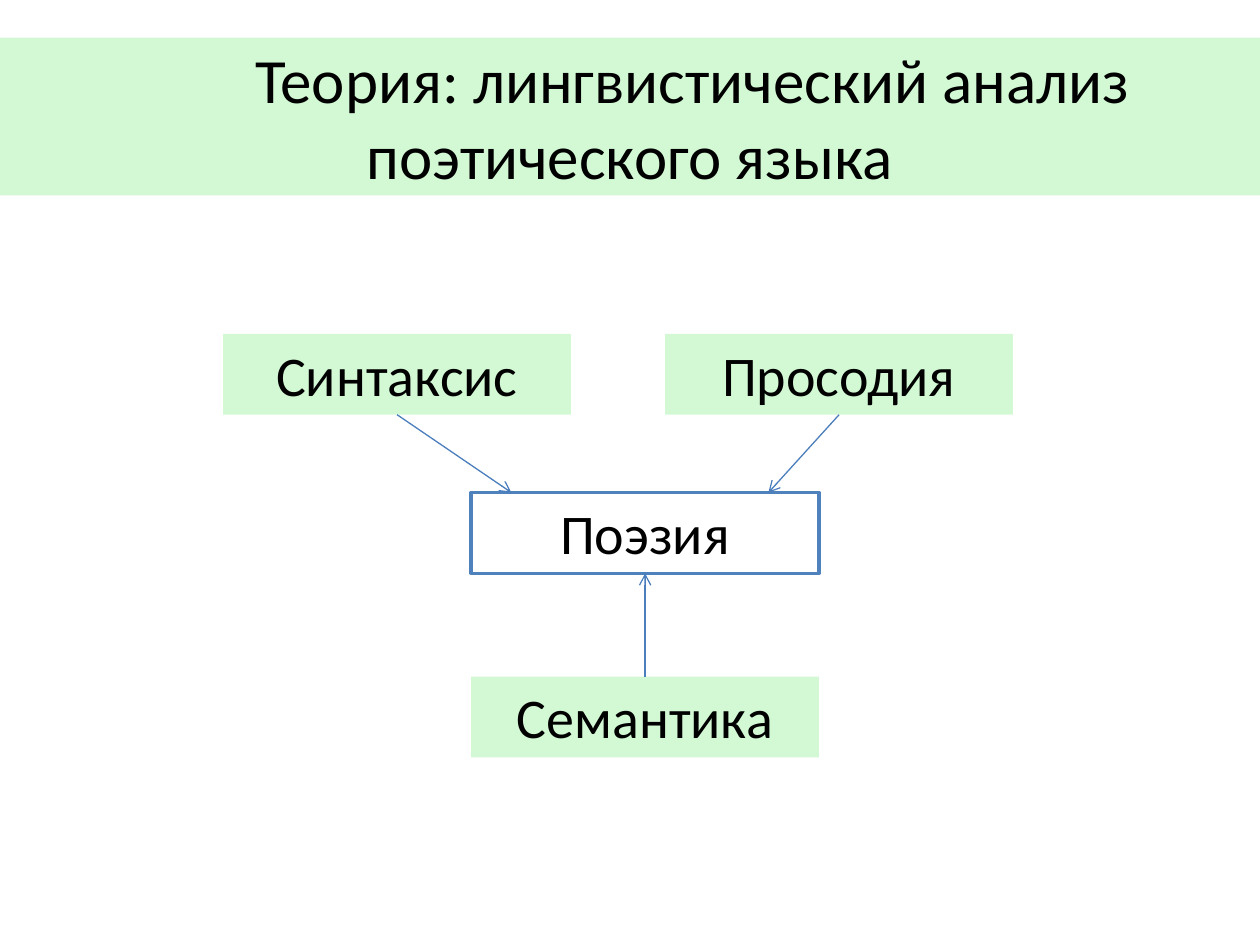
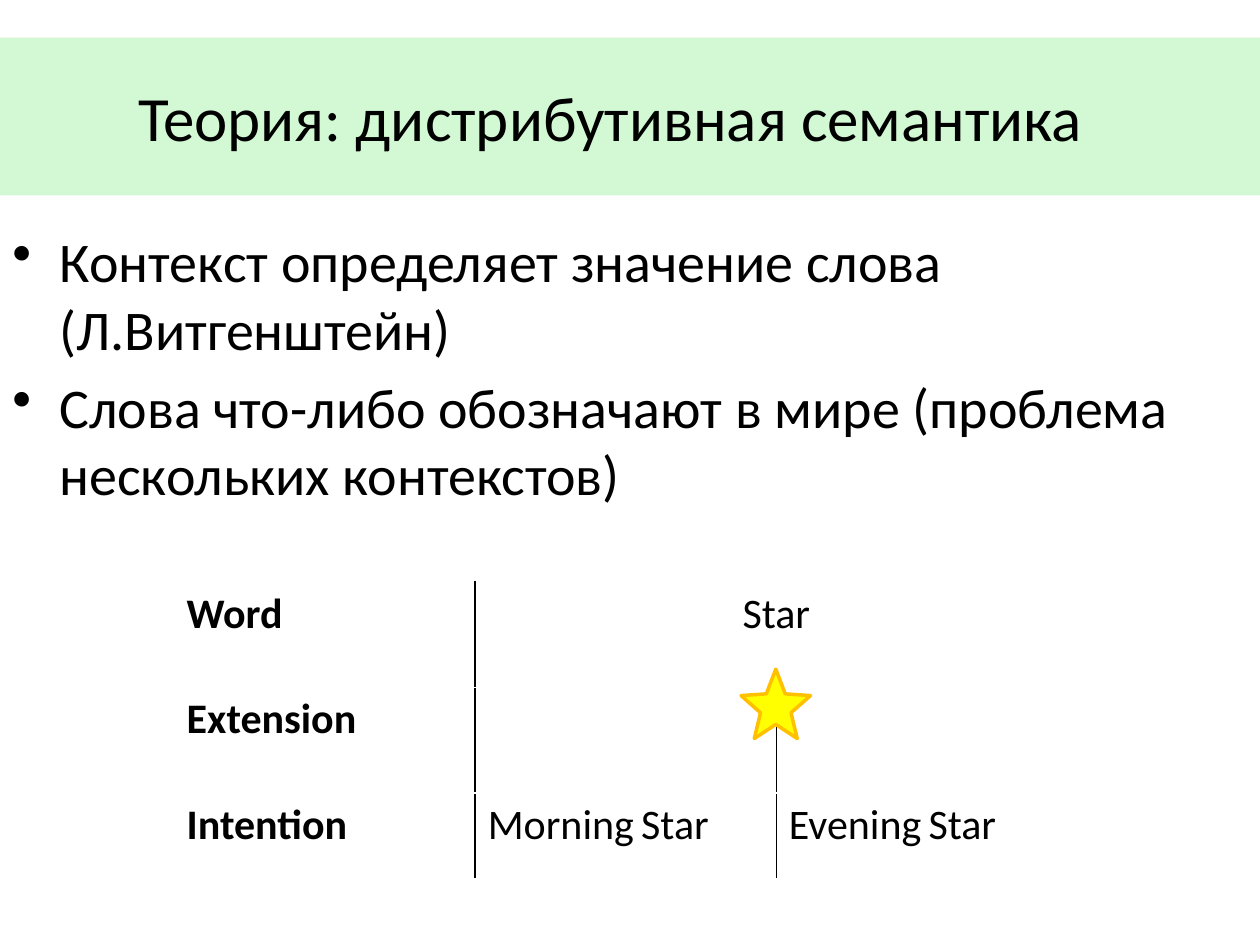
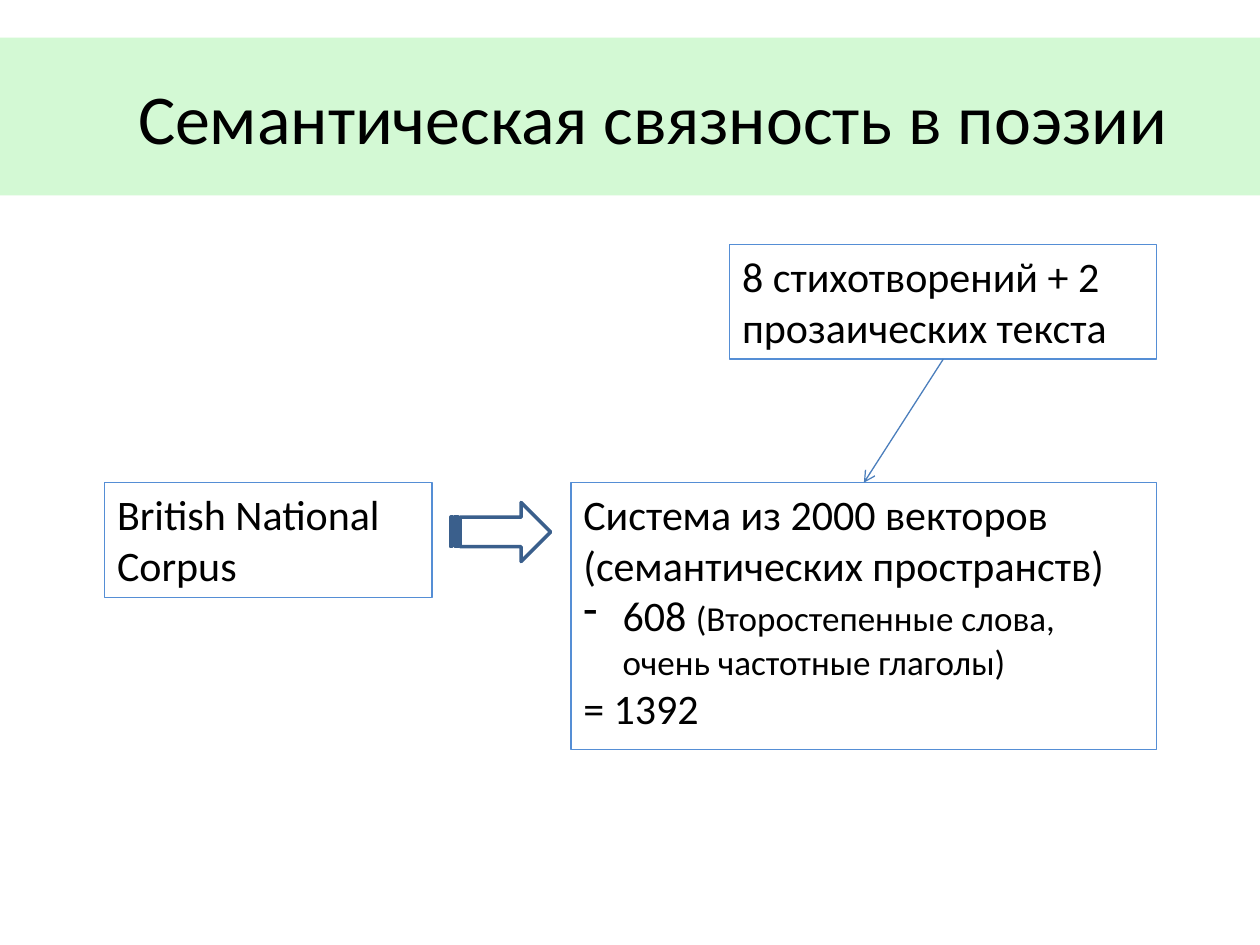
import pptx
import pptx.dml.color
import pptx.enum.shapes
import pptx.enum.text
import pptx.oxml
import pptx.oxml.ns
import pptx.util
from lxml import etree

Cm = pptx.util.Cm
Pt = pptx.util.Pt
RGBColor = pptx.dml.color.RGBColor
MSO_SHAPE = pptx.enum.shapes.MSO_SHAPE
PP_ALIGN = pptx.enum.text.PP_ALIGN
MSO_ANCHOR = pptx.enum.text.MSO_ANCHOR
qn = pptx.oxml.ns.qn

# Shared look
FONT = "Calibri"
BLACK = RGBColor(0x00, 0x00, 0x00)
WHITE = RGBColor(0xFF, 0xFF, 0xFF)
MINT = RGBColor(0xD3, 0xF9, 0xD4)
BLUE = RGBColor(0x4F, 0x81, 0xBD)
ARROW_BLUE = RGBColor(0x4B, 0x7E, 0xBC)
FRAME_BLUE = RGBColor(0x55, 0x8E, 0xD5)
DARK_BLUE = RGBColor(0x3A, 0x5F, 0x8C)
YELLOW = RGBColor(0xFF, 0xFF, 0x00)
GOLD = RGBColor(0xFF, 0xC0, 0x00)
SLIDE_WIDTH, SLIDE_HEIGHT = Cm(25.4), Cm(19.05)

TERM_WIDTH, TERM_HEIGHT = Cm(7.01), Cm(1.63)
COLUMN_WIDTH = Cm(6.07)
ROW_HEIGHTS = (Cm(2.13), Cm(2.13), Cm(1.73))


def style_paragraph(paragraph, size, align=PP_ALIGN.LEFT, bold=False):
    paragraph.alignment = align
    paragraph.font.name = FONT
    paragraph.font.size = Pt(size)
    paragraph.font.bold = bold
    paragraph.font.color.rgb = BLACK


def add_runs(paragraph, runs):
    """Fill a paragraph with (text, size) runs."""
    for text, size in runs:
        run = paragraph.add_run()
        run.text = text
        run.font.size = Pt(size)


def set_indent(paragraph, left, first_line):
    properties = paragraph._p.get_or_add_pPr()
    properties.set("marL", str(left))
    properties.set("indent", str(first_line))


def add_bullet(paragraph, character, indent):
    set_indent(paragraph, indent, -indent)
    properties = paragraph._p.get_or_add_pPr()
    bullet = pptx.oxml.parse_xml(
        f'<a:buChar {pptx.oxml.ns.nsdecls("a")} char="{character}"/>')
    properties.insert_element_before(bullet, "a:tabLst", "a:defRPr", "a:extLst")


def paint(shape, fill=None, line=None, line_width=0.75):
    if fill is None:
        shape.fill.background()
    else:
        shape.fill.solid()
        shape.fill.fore_color.rgb = fill
    if line is None:
        shape.line.fill.background()
    else:
        shape.line.color.rgb = line
        shape.line.width = Pt(line_width)


def add_preset(slide, kind, left, top, width, height, **paint_options):
    shape = slide.shapes.add_shape(kind, left, top, width, height)
    shape.shadow.inherit = False
    paint(shape, **paint_options)
    return shape


def add_title(slide, text, size=36, align=PP_ALIGN.LEFT):
    band = add_preset(slide, MSO_SHAPE.RECTANGLE, 0, Cm(0.76), SLIDE_WIDTH, Cm(3.18), fill=MINT)
    frame = band.text_frame
    frame.word_wrap = True
    frame.vertical_anchor = MSO_ANCHOR.MIDDLE
    paragraph = frame.paragraphs[0]
    paragraph.text = text
    style_paragraph(paragraph, size, align)
    set_indent(paragraph, 0, Cm(2.54))


def add_text(slide, left, top, width, height, lines, size, align=PP_ALIGN.LEFT):
    box = slide.shapes.add_textbox(left, top, width, height)
    box.text_frame.word_wrap = True
    for index, line in enumerate(lines):
        paragraph = box.text_frame.paragraphs[0] if index == 0 else box.text_frame.add_paragraph()
        if isinstance(line, str):
            paragraph.text = line
        else:
            add_runs(paragraph, line)
        style_paragraph(paragraph, size, align)
    return box


def add_term(slide, text, left, top, fill=MINT, line=None):
    box = add_text(slide, left, top, TERM_WIDTH, TERM_HEIGHT, [text], 32, PP_ALIGN.CENTER)
    paint(box, fill, line, 2)
    return box


def add_framed_text(slide, left, top, width, height, lines):
    box = add_text(slide, left, top, width, height, lines, 24)
    paint(box, line=FRAME_BLUE)
    return box


def add_arrow(slide, source, source_side, end=(0, 0), target=None, target_side=0):
    """Draw an arrow from a box side to a point, or to a side of a target box."""
    arrow = slide.shapes.add_connector(pptx.enum.shapes.MSO_CONNECTOR.STRAIGHT, 0, 0, *end)
    arrow.begin_connect(source, source_side)
    if target is not None:
        arrow.end_connect(target, target_side)
    arrow.line.color.rgb = ARROW_BLUE
    arrow.line.width = Pt(0.75)
    etree.SubElement(arrow.line._get_or_add_ln(), qn("a:tailEnd"), type="arrow")
    etree.SubElement(arrow._element.spPr, qn("a:effectLst"))


def set_cell_borders(cell, sides):
    for index, side in enumerate(sides):
        border = pptx.oxml.parse_xml(
            f'<a:ln{side} {pptx.oxml.ns.nsdecls("a")} w="{Pt(1)}">'
            f'<a:solidFill><a:srgbClr val="{BLACK}"/></a:solidFill></a:ln{side}>')
        cell._tc.get_or_add_tcPr().insert(index, border)


def add_meaning_table(slide):
    rows = [
        ("Word", [("Star", 24)], []),
        ("Extension", [], []),
        ("Intention",
         [("Morning", 24), (" ", 18), ("Star", 24)],
         [("Evening", 24), (" ", 18), ("Star", 24)]),
    ]
    table = slide.shapes.add_table(len(rows), 3, Cm(3.51), Cm(11.73),
                                   COLUMN_WIDTH * 3, sum(ROW_HEIGHTS)).table
    table.first_row = table.horz_banding = False
    for column in table.columns:
        column.width = COLUMN_WIDTH
    for row_index, (label, *meanings) in enumerate(rows):
        table.rows[row_index].height = ROW_HEIGHTS[row_index]
        for column_index, runs in enumerate([[(label, 24)], *meanings]):
            cell = table.cell(row_index, column_index)
            cell.fill.background()
            paragraph = cell.text_frame.paragraphs[0]
            add_runs(paragraph, runs)
            style_paragraph(paragraph, 24, bold=column_index == 0)
        # The first row has no divider between the two meanings
        set_cell_borders(table.cell(row_index, 0), "R")
        set_cell_borders(table.cell(row_index, 1), "LR" if row_index else "L")
        if row_index:
            set_cell_borders(table.cell(row_index, 2), "L")
    word = table.cell(0, 1)
    word.merge(table.cell(0, 2))
    word.text_frame.paragraphs[0].alignment = PP_ALIGN.CENTER


def build_theory_slide(slide):
    add_title(slide, "Теория: лингвистический анализ поэтического языка", align=PP_ALIGN.CENTER)
    poetry_left, poetry_top, upper_top = Cm(9.5), Cm(9.93), Cm(6.73)
    poetry = add_term(slide, "Поэзия", poetry_left, poetry_top, WHITE, BLUE)
    prosody = add_term(slide, "Просодия", Cm(13.41), upper_top)
    syntax = add_term(slide, "Синтаксис", Cm(4.5), upper_top)
    semantics = add_term(slide, "Семантика", poetry_left, Cm(13.64))
    add_arrow(slide, syntax, 2, end=(Cm(10.31), poetry_top))
    add_arrow(slide, prosody, 2, end=(Cm(15.49), poetry_top))
    add_arrow(slide, semantics, 0, target=poetry, target_side=2)


def build_distribution_slide(slide):
    body = add_text(slide, 0, Cm(4.45), SLIDE_WIDTH, Cm(12.57), [
        "Контекст определяет значение слова (Л.Витгенштейн)",
        "Слова что-либо обозначают в мире (проблема нескольких контекстов)",
    ], 32)
    for paragraph in body.text_frame.paragraphs:
        paragraph.space_after = Pt(6.4)
        add_bullet(paragraph, "•", Cm(0.95))
    add_title(slide, "Теория: дистрибутивная семантика")
    add_meaning_table(slide)
    star = add_preset(slide, MSO_SHAPE.STAR_5_POINT, Cm(14.94), Cm(13.49), Cm(1.4), Cm(1.4),
                      fill=YELLOW, line=GOLD, line_width=2)
    star.adjustments[0] = 0.22


def build_coherence_slide(slide):
    add_title(slide, "Семантическая связность в поэзии", 40)
    row_top, short_height = Cm(9.73), Cm(2.31)
    add_framed_text(slide, Cm(2.11), row_top, Cm(6.6), short_height, ["British National Corpus"])
    vectors = add_framed_text(slide, Cm(11.51), row_top, Cm(11.81), Cm(5.38), [
        "Система из 2000 векторов",
        "(семантических пространств)",
        [("608 ", 24), ("(Второстепенные слова, очень частотные глаголы)", 20)],
        "= 1392",
    ])
    add_bullet(vectors.text_frame.paragraphs[2], "-", Cm(0.79))
    texts = add_framed_text(slide, Cm(14.71), Cm(4.93), Cm(8.61), short_height,
                            ["8 стихотворений + 2 прозаических текста"])
    add_preset(slide, MSO_SHAPE.STRIPED_RIGHT_ARROW, Cm(9.09), Cm(10.13), Cm(2.01), Cm(1.19),
               line=DARK_BLUE, line_width=2)
    add_arrow(slide, texts, 2, target=vectors, target_side=0)


def main():
    presentation = pptx.Presentation()
    presentation.slide_width = SLIDE_WIDTH
    presentation.slide_height = SLIDE_HEIGHT
    blank_layout = presentation.slide_layouts[6]
    for build in (build_theory_slide, build_distribution_slide, build_coherence_slide):
        build(presentation.slides.add_slide(blank_layout))
    presentation.save("out.pptx")


if __name__ == "__main__":
    main()
